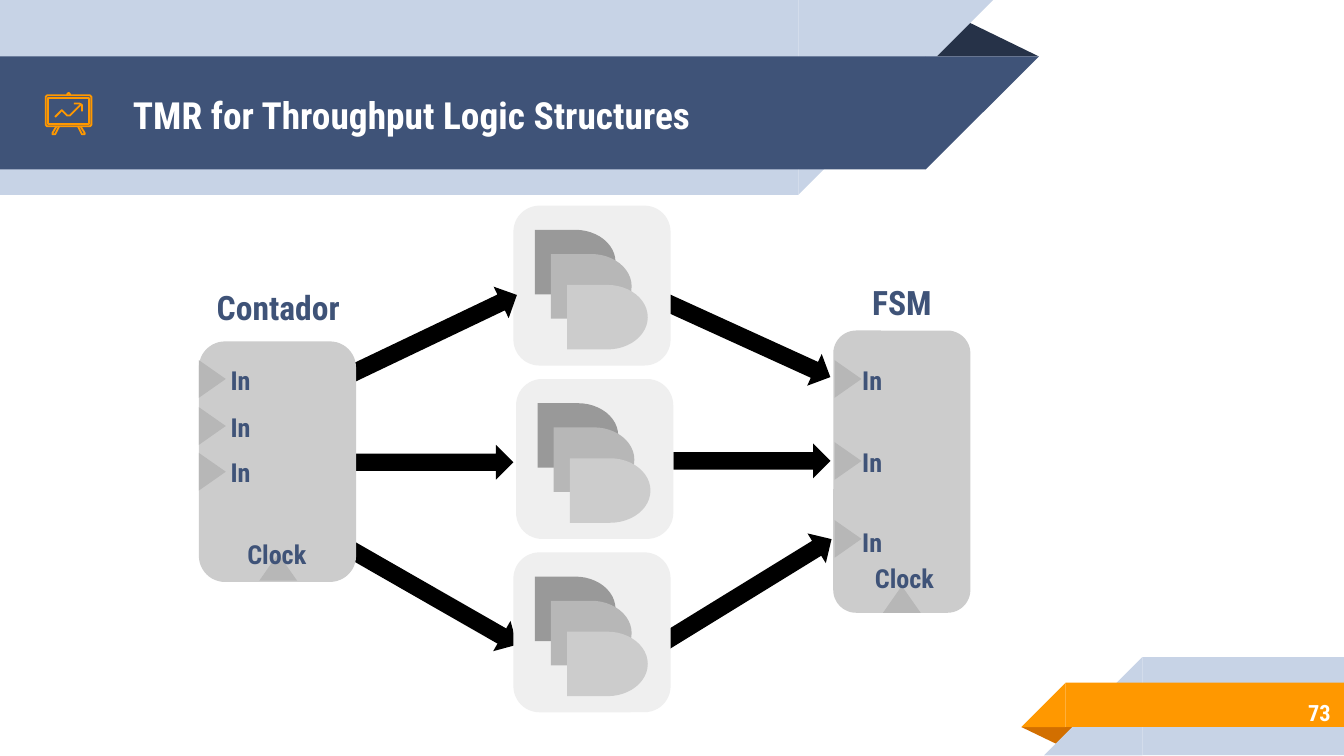
from pptx import Presentation
from pptx.dml.color import RGBColor
from pptx.enum.shapes import MSO_SHAPE
from pptx.enum.text import MSO_ANCHOR, PP_ALIGN
from pptx.util import Inches, Pt

FONT = "Roboto Condensed"
COLORS = {
    "navy": "3F5378", "dark navy": "263248", "pale blue": "C7D3E6",
    "orange": "FF9800", "dark orange": "D26F00", "white": "FFFFFF",
    "black": "000000", "card": "EFEFEF", "block": "CCCCCC",
    "port": "B7B7B7", "back gate": "999999",
}


def color(name):
    return RGBColor.from_string(COLORS[name])


def add_filled(slide, preset, box, fill, rotation=0, adjust=None, flip=None):
    shape = slide.shapes.add_shape(preset, *map(Inches, box))
    shape.shadow.inherit = False
    shape.fill.solid()
    shape.fill.fore_color.rgb = color(fill)
    shape.line.fill.background()
    shape.rotation = rotation
    if adjust is not None:
        shape.adjustments[0] = adjust
    if flip:
        shape._element.spPr.xfrm.set(flip, "1")


def add_label(slide, words, box, size, fill="navy", align=PP_ALIGN.CENTER):
    frame = slide.shapes.add_textbox(*map(Inches, box)).text_frame
    frame.word_wrap = True
    frame.vertical_anchor = MSO_ANCHOR.MIDDLE
    frame.margin_left = frame.margin_right = Inches(0.1)
    frame.margin_top = frame.margin_bottom = Inches(0.1)
    paragraph = frame.paragraphs[0]
    paragraph.alignment = align
    run = paragraph.add_run()
    run.text = words
    run.font.name = FONT
    run.font.size = Pt(size)
    run.font.bold = True
    run.font.color.rgb = color(fill)


def add_outline(slide, points, close=False):
    start, *rest = [(Inches(x), Inches(y)) for x, y in points]
    builder = slide.shapes.build_freeform(*start)
    builder.add_line_segments(rest, close=close)
    stroke = builder.convert_to_shape()
    stroke.shadow.inherit = False
    stroke.fill.background()
    stroke.line.color.rgb = color("orange")
    stroke.line.width = Pt(0.96)


def add_header_band(slide, top, width, height, fill):
    """Bar from the left edge with a slanted right end."""
    add_filled(slide, MSO_SHAPE.RECTANGLE, (0, top, width, height), fill)
    add_filled(slide, MSO_SHAPE.RIGHT_TRIANGLE, (width, top, height, height),
               fill, flip="flipV")


def add_footer_band(slide, left, top, height, fill):
    """Bar to the right edge with a slanted left end."""
    add_filled(slide, MSO_SHAPE.RECTANGLE,
               (left, top, 10 - left, height), fill)
    add_filled(slide, MSO_SHAPE.RIGHT_TRIANGLE,
               (left - height, top, height, height), fill, flip="flipH")


def add_board_icon(slide):
    # Frame with cut corners, then the sheet inside it
    add_outline(slide, [(0.35, 0.71), (0.67, 0.71), (0.68, 0.72), (0.68, 0.93),
                        (0.67, 0.94), (0.35, 0.94), (0.34, 0.93),
                        (0.34, 0.72)], close=True)
    add_outline(slide, [(0.36, 0.73), (0.36, 0.92), (0.66, 0.92),
                        (0.66, 0.73)], close=True)
    # Hook and legs
    add_outline(slide, [(0.52, 0.71), (0.52, 0.7), (0.51, 0.69),
                        (0.5, 0.7), (0.5, 0.71)])
    add_outline(slide, [(0.42, 0.94), (0.39, 0.99), (0.39, 1), (0.41, 1),
                        (0.44, 0.94)])
    add_outline(slide, [(0.58, 0.94), (0.61, 1), (0.63, 1), (0.63, 0.99),
                        (0.6, 0.94)])
    # Rising line and its head
    add_outline(slide, [(0.6, 0.78), (0.52, 0.86), (0.5, 0.86),
                        (0.46, 0.82), (0.41, 0.87)])
    add_outline(slide, [(0.55, 0.77), (0.59, 0.77), (0.61, 0.78),
                        (0.61, 0.83)])


def add_arrow(slide, left, top, length, rotation=0):
    add_filled(slide, MSO_SHAPE.RIGHT_ARROW, (left, top, length, 0.26),
               "black", rotation)


def add_logic_card(slide, left, top):
    """Card with three stacked gates."""
    add_filled(slide, MSO_SHAPE.ROUNDED_RECTANGLE, (left, top, 1.17, 1.19),
               "card")
    for dx, dy, fill in [(0.16, 0.18, "back gate"), (0.28, 0.36, "port"),
                         (0.4, 0.59, "block")]:
        add_filled(slide, MSO_SHAPE.FLOWCHART_DELAY,
                   (left + dx, top + dy, 0.6, 0.48), fill)


def add_block(slide, box, name, name_box, clock_mark, clock_box):
    add_filled(slide, MSO_SHAPE.ROUNDED_RECTANGLE, box, "block")
    add_filled(slide, MSO_SHAPE.ISOSCELES_TRIANGLE,
               (*clock_mark, 0.28, 0.2), "port")
    add_label(slide, name, name_box, 18)
    add_label(slide, "Clock", clock_box, 14)


def add_inputs(slide, mark_left, label_left, rows):
    for mark_top, label_top in rows:
        add_filled(slide, MSO_SHAPE.ISOSCELES_TRIANGLE,
                   (mark_left, mark_top, 0.28, 0.2), "port", rotation=90)
        add_label(slide, "In", (label_left, label_top, 0.4, 0.35), 14)


def main():
    deck = Presentation()
    deck.slide_width = Inches(10)
    deck.slide_height = Inches(10 * 9 / 16)
    slide = deck.slides.add_slide(deck.slide_layouts[6])

    # Header ribbon
    add_filled(slide, MSO_SHAPE.ISOSCELES_TRIANGLE, (6.88, 0.14, 0.85, 0.28),
               "dark navy", adjust=0.324)
    add_header_band(slide, 0, 5.94, 1.45, "pale blue")
    add_header_band(slide, 0.42, 6.89, 0.84, "navy")
    add_label(slide, "TMR for Throughput Logic Structures",
              (0.89, 0.43, 5.98, 0.84), 20, "white", PP_ALIGN.LEFT)
    add_board_icon(slide)

    # Footer ribbon with page number
    add_filled(slide, MSO_SHAPE.ISOSCELES_TRIANGLE, (7.6, 5.41, 0.43, 0.14),
               "dark orange", rotation=180, adjust=0.324)
    add_footer_band(slide, 8.5, 4.89, 0.73, "pale blue")
    add_footer_band(slide, 7.93, 5.08, 0.33, "orange")
    add_label(slide, "73", (8.37, 5.13, 1.63, 0.35), 12, "white",
              PP_ALIGN.RIGHT)

    # Redundant logic; the cards cover some arrow ends
    add_arrow(slide, 4.78, 4.28, 1.52, 328.4)
    add_arrow(slide, 4.86, 2.39, 1.38, 24.5)
    add_logic_card(slide, 3.82, 1.53)
    add_arrow(slide, 2.39, 4.28, 1.56, 29.8)
    add_arrow(slide, 2.41, 2.39, 1.51, 334.5)
    add_arrow(slide, 2.65, 3.31, 1.17)
    add_arrow(slide, 5.01, 3.3, 1.17)
    add_logic_card(slide, 3.84, 2.82)
    add_logic_card(slide, 3.82, 4.11)

    # Counter and state machine with their inputs
    add_block(slide, (1.48, 2.54, 1.17, 1.79), "Contador",
              (1.23, 2.11, 1.68, 0.35), (1.93, 4.12), (1.7, 3.88, 0.72, 0.49))
    add_block(slide, (6.2, 2.46, 1.02, 2.1), "FSM",
              (5.85, 2.07, 1.72, 0.35), (6.57, 4.36), (6.37, 4.11, 0.72, 0.38))
    add_inputs(slide, 1.44, 1.59, [(2.72, 2.65), (3.07, 3), (3.41, 3.34)])
    add_inputs(slide, 6.17, 6.29, [(2.72, 2.65), (3.33, 3.26), (3.91, 3.86)])

    deck.save("out.pptx")


if __name__ == "__main__":
    main()
